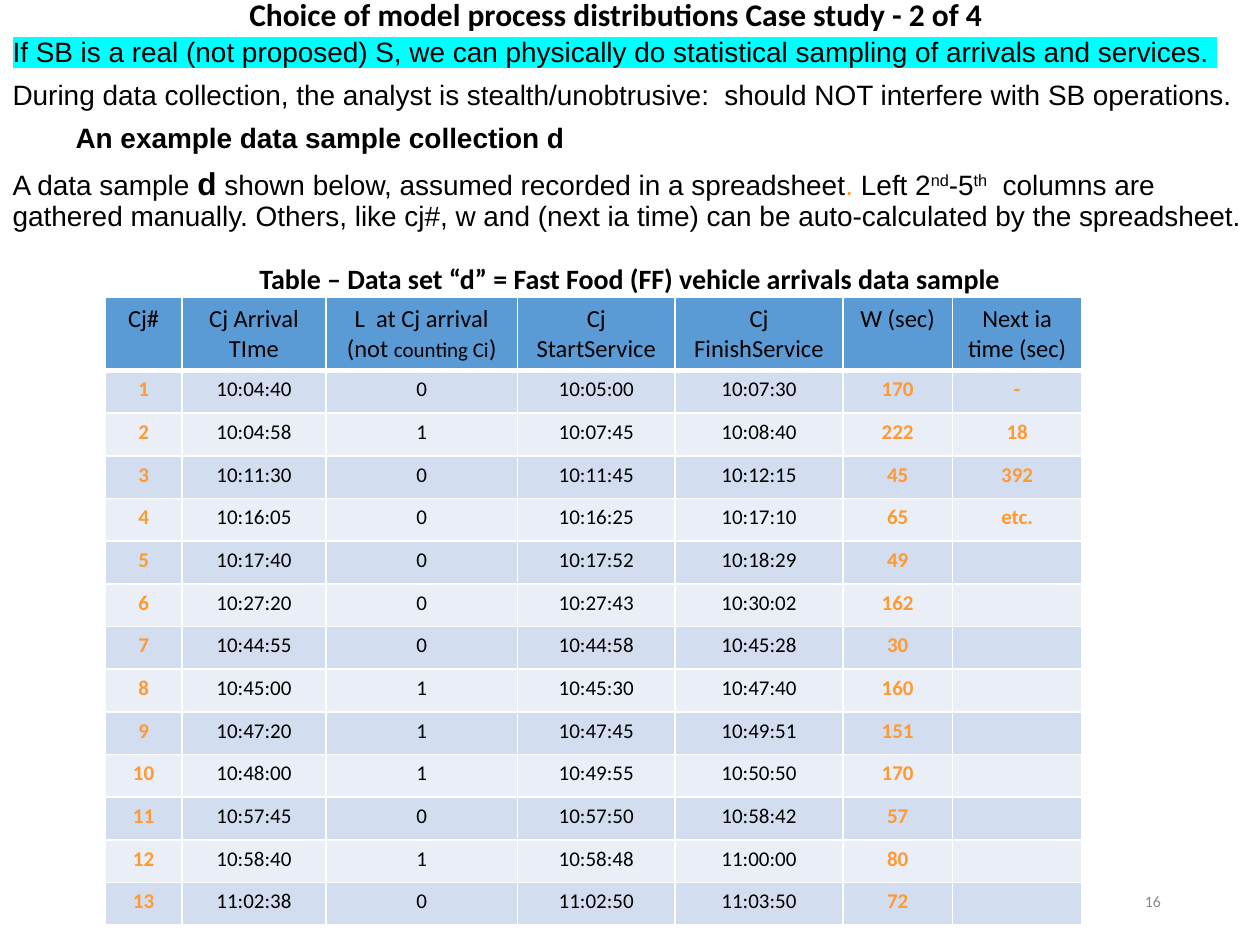
from lxml import etree
from pptx import Presentation
from pptx import util as u
from pptx.dml.color import RGBColor
from pptx.enum import text
from pptx.oxml import ns

BLACK = RGBColor(0x00, 0x00, 0x00)
WHITE = RGBColor(0xFF, 0xFF, 0xFF)
GRAY = RGBColor(0x89, 0x89, 0x89)
CYAN = RGBColor(0x00, 0xFF, 0xFF)
ORANGE = RGBColor(0xFF, 0x99, 0x33)
HEADER_BLUE = RGBColor(0x5B, 0x9B, 0xD5)
BAND_DARK = RGBColor(0xD2, 0xDE, 0xEF)
BAND_LIGHT = RGBColor(0xEA, 0xEF, 0xF7)

COLUMN_WIDTHS = [1.55, 2.9, 3.86, 3.18, 3.38, 2.21, 2.61]
HEADER_HEIGHT, ROW_HEIGHT = 1.47, 0.86
HEADERS = ["Cj#", "Cj Arrival TIme", "L  at Cj arrival (not ", "Cj StartService",
           "Cj FinishService", "W (sec)", "Next ia time (sec)"]
CALCULATED_COLUMNS = (0, 5, 6)
ARRIVALS = [
    ("10:04:40", "0", "10:05:00", "10:07:30", "170", "-"),
    ("10:04:58", "1", "10:07:45", "10:08:40", "222", "18"),
    ("10:11:30", "0", "10:11:45", "10:12:15", "45", "392"),
    ("10:16:05", "0", "10:16:25", "10:17:10", "65", "etc."),
    ("10:17:40", "0", "10:17:52", "10:18:29", "49", ""),
    ("10:27:20", "0", "10:27:43", "10:30:02", "162", ""),
    ("10:44:55", "0", "10:44:58", "10:45:28", "30", ""),
    ("10:45:00", "1", "10:45:30", "10:47:40", "160", ""),
    ("10:47:20", "1", "10:47:45", "10:49:51", "151", ""),
    ("10:48:00", "1", "10:49:55", "10:50:50", "170", ""),
    ("10:57:45", "0", "10:57:50", "10:58:42", "57", ""),
    ("10:58:40", "1", "10:58:48", "11:00:00", "80", ""),
    ("11:02:38", "0", "11:02:50", "11:03:50", "72", ""),
]


def place(shape, box):
    shape.left, shape.top, shape.width, shape.height = (u.Cm(length) for length in box)


def set_font(font, name, size, color=BLACK, bold=False):
    font.name, font.size, font.bold = name, u.Pt(size), bold
    font.color.rgb = color


def add_span(para, words, baseline=0):
    span = para.add_run()
    span.text = words
    if baseline:
        span._r.get_or_add_rPr().set("baseline", str(baseline))
    return span


def highlight(span, color):
    mark = etree.SubElement(span._r.get_or_add_rPr(), ns.qn("a:highlight"))
    etree.SubElement(mark, ns.qn("a:srgbClr"), val=str(color))


def add_title(page, box):
    title = page.shapes.title
    place(title, box)
    frame = title.text_frame
    frame.auto_size = text.MSO_AUTO_SIZE.NONE
    frame.vertical_anchor = text.MSO_ANCHOR.MIDDLE
    para = frame.paragraphs[0]
    para.alignment = text.PP_ALIGN.CENTER
    para.line_spacing = 0.9
    set_font(para.font, "Calibri", 18, bold=True)
    add_span(para, "Choice of model process distributions Case study - 2 of 4")


def start_body_paragraph(para, space_before=7.5, name="Arial", bold=False, tab=None):
    properties = para._p.get_or_add_pPr()
    properties.set("marL", "0")
    properties.set("indent", "0")
    etree.SubElement(properties, ns.qn("a:buNone"))
    if tab:
        stops = etree.SubElement(properties, ns.qn("a:tabLst"))
        etree.SubElement(stops, ns.qn("a:tab"), pos=str(u.Cm(tab)), algn="l")
    para.line_spacing = 0.9
    para.space_before = u.Pt(space_before)
    set_font(para.font, name, 16, bold=bold)
    return para


def add_body(page, box):
    body = page.placeholders[1]
    place(body, box)
    frame = body.text_frame
    frame.auto_size = text.MSO_AUTO_SIZE.NONE

    para = start_body_paragraph(frame.paragraphs[0], space_before=0)
    highlight(add_span(para, "If SB is a real (not proposed) S, we can physically do "
                             "statistical sampling of arrivals and services. "), CYAN)

    para = start_body_paragraph(frame.add_paragraph())
    add_span(para, "During data collection, the analyst is stealth/unobtrusive:  "
                   "should NOT interfere with SB operations.")

    para = start_body_paragraph(frame.add_paragraph(), bold=True, tab=1.9)
    add_span(para, "\tAn example data sample collection d")

    para = start_body_paragraph(frame.add_paragraph())
    add_span(para, "A data sample ")
    sample = add_span(para, "d")
    sample.font.size, sample.font.bold = u.Pt(18), True
    add_span(para, " shown below, assumed recorded in a spreadsheet")
    add_span(para, ". ").font.color.rgb = ORANGE
    add_span(para, "Left 2")
    add_span(para, "nd", 30000)
    add_span(para, "-5")
    add_span(para, "th", 30000)
    add_span(para, "  columns are gathered manually. Others, like cj#, w and "
                   "(next ia time) can be auto-calculated by the spreadsheet.")

    para = start_body_paragraph(frame.add_paragraph(), 19, "Calibri", bold=True)
    para.alignment = text.PP_ALIGN.CENTER
    add_span(para, "Table – Data set “d” = Fast Food (FF) vehicle arrivals data sample")


def add_page_number(page, box):
    number = page.shapes.add_textbox(*(u.Cm(length) for length in box))
    frame = number.text_frame
    frame.word_wrap = True
    frame.vertical_anchor = text.MSO_ANCHOR.MIDDLE
    para = frame.paragraphs[0]
    para.alignment = text.PP_ALIGN.RIGHT
    set_font(para.font, "Calibri", 9, GRAY)
    add_span(para, "16")


def set_borders(cell, top=1, bottom=1):
    properties = cell._tc.get_or_add_tcPr()
    widths = {"a:lnL": 1, "a:lnR": 1, "a:lnT": top, "a:lnB": bottom}
    for index, (tag, width) in enumerate(widths.items()):
        line = etree.Element(ns.qn(tag), w=str(u.Pt(width)))
        fill = etree.SubElement(line, ns.qn("a:solidFill"))
        etree.SubElement(fill, ns.qn("a:srgbClr"), val=str(WHITE))
        properties.insert(index, line)


def fill_cell(cell, words, size, background, color=BLACK, bold=False):
    cell.fill.solid()
    cell.fill.fore_color.rgb = background
    para = cell.text_frame.paragraphs[0]
    para.alignment = text.PP_ALIGN.CENTER
    set_font(para.font, "Calibri", size, color, bold)
    if words:
        span = add_span(para, words)
        span.font.bold = bold
        span.font.color.rgb = color
    return para


def add_arrivals_table(page, left, top):
    height = HEADER_HEIGHT + ROW_HEIGHT * len(ARRIVALS)
    table = page.shapes.add_table(
        len(ARRIVALS) + 1, len(HEADERS), u.Cm(left), u.Cm(top),
        u.Cm(sum(COLUMN_WIDTHS)), u.Cm(height)).table
    for column, width in zip(table.columns, COLUMN_WIDTHS):
        column.width = u.Cm(width)
    for index, row in enumerate(table.rows):
        row.height = u.Cm(ROW_HEIGHT if index else HEADER_HEIGHT)

    for column, words in enumerate(HEADERS):
        cell = table.cell(0, column)
        para = fill_cell(cell, words, 14, HEADER_BLUE)
        set_borders(cell, bottom=3)
        if column == 2:
            for ending, size in (("counting Ci", 12), (")", 14)):
                set_font(add_span(para, ending).font, "Calibri", size)

    for row, arrival in enumerate(ARRIVALS, 1):
        band = BAND_DARK if row % 2 else BAND_LIGHT
        for column, words in enumerate((str(row), *arrival)):
            calculated = column in CALCULATED_COLUMNS
            cell = table.cell(row, column)
            fill_cell(cell, words, 12, band, ORANGE if calculated else BLACK, calculated)
            set_borders(cell, top=3 if row == 1 else 1)


def main():
    deck = Presentation()
    deck.slide_width, deck.slide_height = u.Cm(25.4), u.Cm(19.05)
    page = deck.slides.add_slide(deck.slide_layouts[1])
    add_title(page, (1.75, 0, 21.34, 0.64))
    add_body(page, (0, 0.64, 25.4, 18.41))
    add_page_number(page, (17.93, 17.65, 5.72, 1.02))
    add_arrivals_table(page, 2.12, 6)
    deck.save("out.pptx")


if __name__ == "__main__":
    main()
